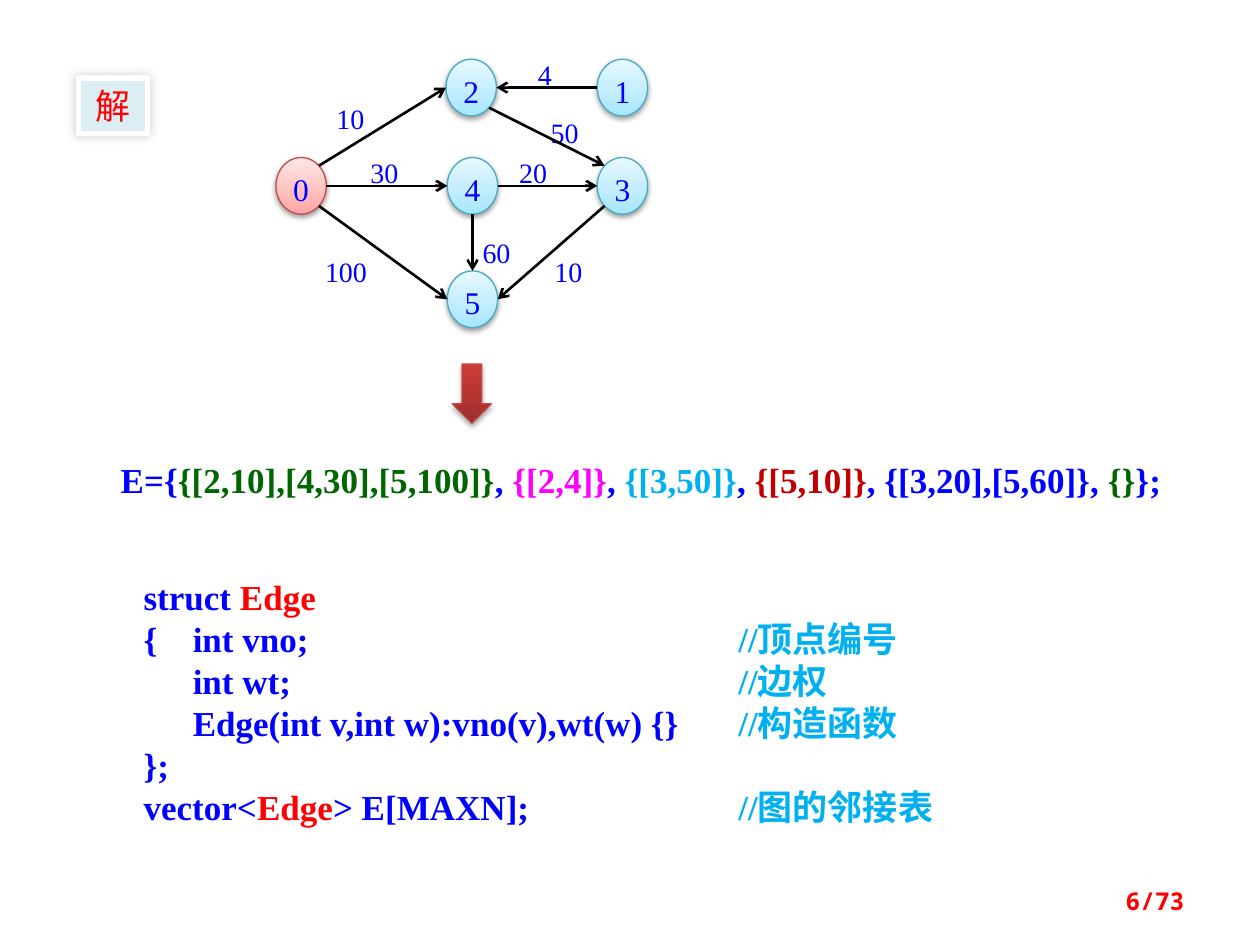
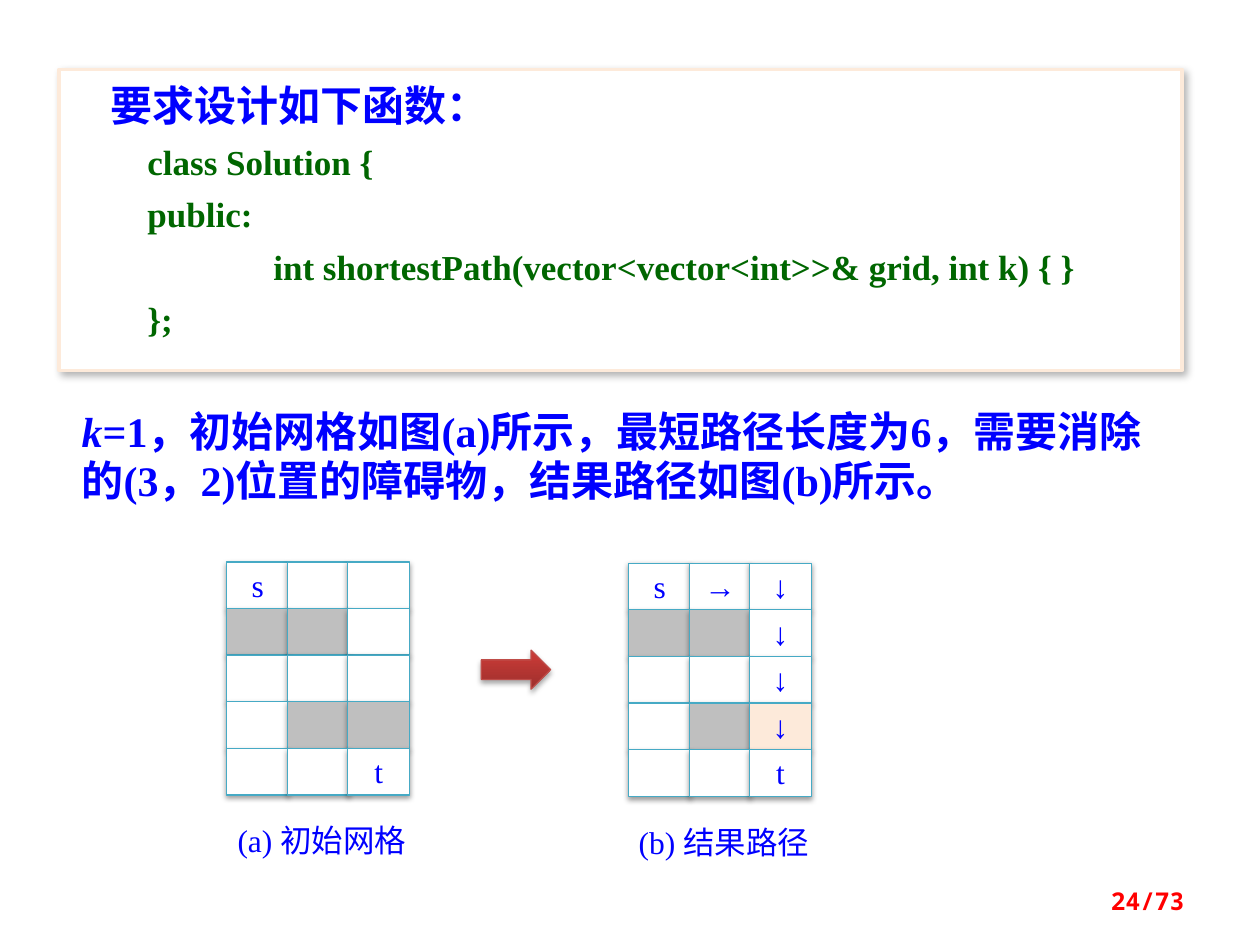
from dataclasses import dataclass

from lxml import etree
from pptx import Presentation
from pptx import util as u
from pptx.dml.color import RGBColor
from pptx.enum import shapes, text
from pptx.oxml import ns

SHAPE, ALIGN, ANCHOR = shapes.MSO_SHAPE, text.PP_ALIGN, text.MSO_ANCHOR


@dataclass(frozen=True)
class Theme:
    blue: str = "0000FF"
    green: str = "006600"
    red: str = "FF0000"
    crimson: str = "C00000"
    magenta: str = "FF00FF"
    sky: str = "00B0F0"
    black: str = "000000"
    white: str = "FFFFFF"
    wall: str = "BFBFBF"
    peach: str = "FDEADA"
    ice: str = "DBEEF4"
    teal_line: str = "46AAC5"
    red_line: str = "BF4C48"
    node_fill: tuple = ("A7E6FF", "E7F8FF")
    source_fill: tuple = ("FFA6A5", "FFE7E7")
    arrow_fill: tuple = ("9C2F2D", "CE3B37")
    serif: str = "Times New Roman"
    sans: str = "Noto Sans CJK SC"
    mono: str = "Noto Sans Mono"
    heading: int = 24
    code: int = 20
    label: int = 18
    weight: int = 16
    footer: int = 14
    leading: u.Length = u.Pt(24)
    # opacity %, blur pt, distance pt, direction in degrees
    soft_shadow: tuple = (38, 3.1, 1.6, 90)
    arrow_shadow: tuple = (35, 3.1, 1.8, 90)
    glow: tuple = (20, 6, 0, 225)
    card_shadow: tuple = (30, 4.5, 2.6, 53)


T = Theme()
COLS, ROWS = 100, 75
PAGES = 73
NO_INSETS = (0, 0, 0, 0)


def rgb(value):
    return RGBColor.from_string(value)


def add_xml(parent, tag, **attrs):
    return etree.SubElement(parent, ns.qn(tag), attrs)


class Deck:
    """Holds the theme's grid and the slide being drawn; lengths are grid columns and rows."""

    def __init__(self):
        self.prs = Presentation()
        self.prs.slide_width, self.prs.slide_height = u.Inches(10), u.Inches(7.5)
        self.slide = None

    def x(self, cols):
        return round(self.prs.slide_width * cols / COLS)

    def y(self, rows):
        return round(self.prs.slide_height * rows / ROWS)

    def box(self, left, top, width, height):
        return self.x(left), self.y(top), self.x(width), self.y(height)

    def new_slide(self, number):
        self.slide = self.prs.slides.add_slide(self.prs.slide_layouts[6])
        sp = self.text_box((71.7, 69.5, 23.3, 4))
        self.put_text(sp, [[(f"{number}/{PAGES}", T.red)]], T.footer, font=T.mono,
                      bold=True, align=ALIGN.RIGHT, anchor=ANCHOR.MIDDLE)

    def text_box(self, at):
        return self.slide.shapes.add_textbox(*self.box(*at))

    def shape(self, kind, at, fill=T.white, line=None, width=0.75, shadow=None):
        """Add a shape; a pair of fill colours runs from bottom to top."""
        sp = self.slide.shapes.add_shape(kind, *self.box(*at))
        sp.shadow.inherit = False
        if isinstance(fill, tuple):
            sp.fill.gradient()
            sp.fill.gradient_angle = 90
            for stop, colour in zip(sp.fill.gradient_stops, fill):
                stop.color.rgb = rgb(colour)
        else:
            sp.fill.solid()
            sp.fill.fore_color.rgb = rgb(fill)
        if line:
            sp.line.color.rgb = rgb(line)
            sp.line.width = u.Pt(width)
        else:
            sp.line.fill.background()
        if shadow:
            self.cast_shadow(sp, *shadow)
        return sp

    def cast_shadow(self, sp, opacity, blur, distance, direction):
        effects = sp._element.spPr.find(ns.qn("a:effectLst"))
        outer = add_xml(effects, "a:outerShdw", blurRad=str(u.Pt(blur)), dist=str(u.Pt(distance)),
                        dir=str(direction * 60000), rotWithShape="0")
        colour = add_xml(outer, "a:srgbClr", val=T.black)
        add_xml(colour, "a:alpha", val=str(opacity * 1000))

    def put_text(self, sp, paragraphs, size, font=T.serif, bold=False, align=ALIGN.LEFT,
                 anchor=ANCHOR.TOP, insets=(1, 0.5, 1, 0.5), spacing=None, tabs=()):
        """Fill a shape with paragraphs, each a list of (text, colour) runs."""
        tf = sp.text_frame
        tf.word_wrap, tf.vertical_anchor = True, anchor
        tf.margin_left, tf.margin_right = self.x(insets[0]), self.x(insets[2])
        tf.margin_top, tf.margin_bottom = self.y(insets[1]), self.y(insets[3])
        for i, runs in enumerate(paragraphs):
            p = tf.add_paragraph() if i else tf.paragraphs[0]
            p.alignment = align
            if spacing:
                p.line_spacing = spacing
            pPr = p._p.get_or_add_pPr()
            if tabs:
                stops = add_xml(pPr, "a:tabLst")
                for tab in tabs:
                    add_xml(stops, "a:tab", pos=str(self.x(tab)), algn="l")
            p.font.size, p.font.name, p.font.bold = u.Pt(size), font, bold
            add_xml(pPr.find(ns.qn("a:defRPr")), "a:ea", typeface=T.sans)
            for content, colour in runs:
                r = p.add_run()
                r.text = content
                r.font.color.rgb = rgb(colour)
        return tf.paragraphs

    def indent(self, p, cols):
        p._p.get_or_add_pPr().set("marL", str(self.x(cols)))

    def label(self, content, at, size=T.weight, **style):
        sp = self.shape(SHAPE.RECTANGLE, at)
        self.put_text(sp, [[(content, T.blue)]], size, insets=NO_INSETS, **style)

    def node(self, name, centre, fill, line):
        cx, cy = centre
        w, h = NODE_SIZE
        sp = self.shape(SHAPE.OVAL, (cx - w / 2, cy - h / 2, w, h), fill, line,
                        shadow=T.soft_shadow)
        self.put_text(sp, [[(name, T.blue)]], T.label, align=ALIGN.CENTER,
                      insets=NO_INSETS, spacing=T.leading)

    def arrow_line(self, start, end):
        line = self.slide.shapes.add_connector(
            shapes.MSO_CONNECTOR.STRAIGHT, self.x(start[0]), self.y(start[1]),
            self.x(end[0]), self.y(end[1]))
        line.line.color.rgb = rgb(T.black)
        line.line.width = u.Pt(1.5)
        spPr = line._element.spPr
        add_xml(spPr.find(ns.qn("a:ln")), "a:tailEnd", type="arrow")
        add_xml(spPr, "a:effectLst")

    def block_arrow(self, kind, at):
        self.shape(kind, at, T.arrow_fill, T.red_line, shadow=T.arrow_shadow)

    def maze(self, left, top, rows, caption, removed=None):
        """Draw a cell per character: # is a wall, . is free, the rest is text."""
        for i, row in enumerate(rows):
            for j, mark in enumerate(row):
                fill = T.wall if mark == "#" else T.peach if (i, j) == removed else T.white
                sp = self.shape(SHAPE.RECTANGLE, (left + 4.8 * j, top + 3.7 * i, 4.9, 3.7),
                                fill, T.teal_line, shadow=T.soft_shadow)
                if mark not in "#.":
                    self.put_text(sp, [[(mark, T.blue)]], T.label, align=ALIGN.CENTER,
                                  insets=(0, 0.3, 0, 0))
        self.label(caption, (left + 0.3, top + 20.6, 14.5, 2.7), T.label, align=ALIGN.CENTER)


NODE_SIZE = (4, 4.5)
NODES = {"0": (23.9, 14.75), "2": (37.4, 6.95), "4": (37.5, 14.75),
         "5": (37.5, 23.75), "3": (49.4, 14.75), "1": (49.4, 6.95)}
DIAGONAL = 0.71
PORTS = {"n": (0, -1), "s": (0, 1), "e": (1, 0), "w": (-1, 0),
         "ne": (DIAGONAL, -DIAGONAL), "nw": (-DIAGONAL, -DIAGONAL),
         "se": (DIAGONAL, DIAGONAL), "sw": (-DIAGONAL, DIAGONAL)}
# start, its port, end, its port, weight, label left and top
EDGES = [
    ("0", "ne", "2", "w", "10", 26.7, 7.4),
    ("0", "se", "5", "w", "100", 25.8, 19.5),
    ("0", "e", "4", "w", "30", 29.4, 11.7),
    ("4", "s", "5", "n", "60", 38.3, 18),
    ("3", "sw", "5", "e", "10", 44, 19.5),
    ("4", "e", "3", "w", "20", 41.2, 11.7),
    ("2", "se", "3", "nw", "50", 43.7, 8.5),
    ("1", "w", "2", "e", "4", 42.7, 3.9),
]


def port(node, side):
    """Point where an edge meets the rim of a node."""
    return tuple(c + size / 2 * d for c, size, d in zip(NODES[node], NODE_SIZE, PORTS[side]))


def draw_graph(deck):
    for *_, weight, left, top in EDGES:
        width = 4.7 if len(weight) > 2 else 2.6
        deck.label(weight, (left, top, width, 3.1), spacing=T.leading)
    for name, centre in NODES.items():
        colours = (T.source_fill, T.red_line) if name == "0" else (T.node_fill, T.teal_line)
        deck.node(name, centre, *colours)
    for start, start_side, end, end_side, *_ in EDGES:
        deck.arrow_line(port(start, start_side), port(end, end_side))


def adjacency_slide(deck):
    deck.new_slide(6)
    tile = deck.shape(SHAPE.RECTANGLE, (6.2, 6.2, 5.5, 4.4), T.ice, T.white, 3, T.glow)
    deck.put_text(tile, [[("解", T.red)]], T.code, font=T.sans, align=ALIGN.CENTER)
    draw_graph(deck)
    deck.put_text(deck.text_box((8.6, 35.9, 85.2, 4.4)), [[
        ("E={", T.blue), ("{[2,10],[4,30],[5,100]}", T.green), (", ", T.blue),
        ("{[2,4]}", T.magenta), (", ", T.blue), ("{[3,50]}", T.sky), (", ", T.blue),
        ("{[5,10]}", T.crimson), (", {[3,20],[5,60]}, ", T.blue), ("{}", T.green),
        ("};", T.blue)]], T.code, bold=True)
    deck.block_arrow(SHAPE.DOWN_ARROW, (35.9, 28.9, 3.1, 4.7))
    code = deck.shape(SHAPE.RECTANGLE, (9.4, 44.5, 81.3, 22.6))
    deck.put_text(code, [
        [("struct ", T.blue), ("Edge", T.red)],
        [("{\tint vno;\t", T.blue), ("//顶点编号", T.sky)],
        [("\tint wt;\t", T.blue), ("//边权", T.sky)],
        [("\tEdge(int v,int w):vno(v),wt(w) {}\t", T.blue), ("//构造函数", T.sky)],
        [("};", T.blue)],
        [("vector<", T.blue), ("Edge", T.red), ("> E[MAXN];\t", T.blue),
         ("//图的邻接表", T.sky)],
    ], T.code, bold=True, insets=(2, 1.2, 1, 1.2), spacing=T.leading, tabs=(3.9, 47.2))


def shortest_path_slide(deck):
    deck.new_slide(24)
    card = deck.shape(SHAPE.RECTANGLE, (4.7, 5.5, 89.1, 23.9), T.white, T.peach, 2, T.card_shadow)
    code = ["class Solution {", "public:",
            "int shortestPath(vector<vector<int>>& grid, int k) { }", "};"]
    heading, *lines = deck.put_text(
        card, [[("要求设计如下函数：", T.blue)]] + [[(line, T.green)] for line in code],
        T.code, bold=True, insets=(2, 1.6, 1, 1.6), spacing=0.8)
    heading.font.size = u.Pt(T.heading)
    deck.indent(heading, 2.1)
    for p, cols in zip(lines, (5, 5, 15, 5)):
        p.space_before = u.Pt(10.7)
        deck.indent(p, cols)

    answer = "=1，初始网格如图(a)所示，最短路径长度为6，需要消除的(3，2)位置的障碍物，结果路径如图(b)所示。"
    p, = deck.put_text(deck.text_box((5.5, 31.8, 88.3, 8.9)), [[("k", T.blue), (answer, T.blue)]],
                       T.heading, bold=True, spacing=u.Pt(28))
    p.runs[0].font.italic = True

    deck.maze(18, 44.6, ["s..", "##.", "...", ".##", "..t"], "(a) 初始网格")
    deck.maze(49.9, 44.7, ["s→↓", "##↓", "..↓", ".#↓", "..t"], "(b) 结果路径", removed=(3, 2))
    deck.block_arrow(SHAPE.RIGHT_ARROW, (38.2, 51.6, 5.5, 3.1))


def main():
    deck = Deck()
    adjacency_slide(deck)
    shortest_path_slide(deck)
    deck.prs.save("out.pptx")


if __name__ == "__main__":
    main()
